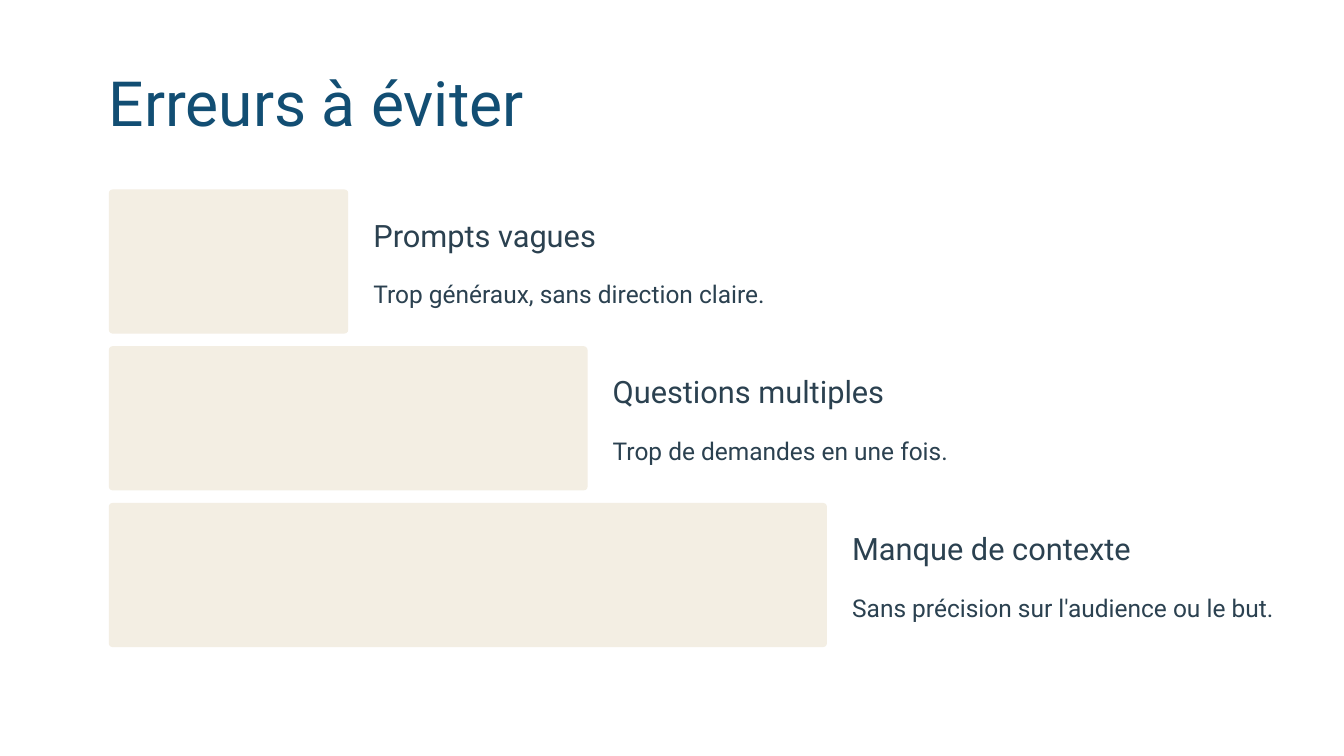
from dataclasses import dataclass

from pptx import Presentation
from pptx.dml.color import RGBColor
from pptx.enum.shapes import MSO_SHAPE
from pptx.enum.text import MSO_ANCHOR, MSO_AUTO_SIZE
from pptx.slide import Slide
from pptx.util import Emu, Pt

EMU_PER_PX = 4572


@dataclass(frozen=True)
class TextStyle:
    size: float
    line_height: float
    color: RGBColor


@dataclass(frozen=True)
class Theme:
    font: str
    bar: RGBColor
    title: TextStyle
    heading: TextStyle
    detail: TextStyle


@dataclass(frozen=True)
class Box:
    left: int
    top: int
    width: int
    height: int

    def emu(self) -> tuple[Emu, Emu, Emu, Emu]:
        return px(self.left), px(self.top), px(self.width), px(self.height)


@dataclass(frozen=True)
class Mistake:
    heading: str
    detail: str
    heading_width: int
    detail_width: int


INK = RGBColor(0x2B, 0x41, 0x50)
THEME = Theme(
    font="Roboto",
    bar=RGBColor(0xF3, 0xEE, 0xE3),
    title=TextStyle(44.5, 55.5, RGBColor(0x12, 0x4E, 0x73)),
    heading=TextStyle(22, 27.5, INK),
    detail=TextStyle(17.5, 28.5, INK),
)

MISTAKES = [
    Mistake("Prompts vagues", "Trop généraux, sans direction claire.", 620, 744),
    Mistake("Questions multiples", "Trop de demandes en une fois.", 620, 632),
    Mistake("Manque de contexte", "Sans précision sur l'audience ou le but.", 624, 804),
]

MARGIN_LEFT = 216
FIRST_BAR_TOP = 376
BAR_PITCH = 311
BAR_HEIGHT = 286
BAR_STEP = 475
BAR_CORNER = 0.026
TEXT_GAP = 50
HEADING_OFFSET = 50
DETAIL_OFFSET = 157


def px(length: int) -> Emu:
    return Emu(length * EMU_PER_PX)


def add_line(slide: Slide, text: str, box: Box, style: TextStyle) -> None:
    frame = slide.shapes.add_textbox(*box.emu()).text_frame
    frame.margin_left = frame.margin_right = 0
    frame.margin_top = frame.margin_bottom = 0
    frame.word_wrap = False
    frame.auto_size = MSO_AUTO_SIZE.NONE
    frame.vertical_anchor = MSO_ANCHOR.TOP
    frame.text = text
    paragraph = frame.paragraphs[0]
    paragraph.line_spacing = Pt(style.line_height)
    font = paragraph.runs[0].font
    font.name = THEME.font
    font.size = Pt(style.size)
    font.color.rgb = style.color


def add_bar(slide: Slide, box: Box) -> None:
    bar = slide.shapes.add_shape(MSO_SHAPE.ROUNDED_RECTANGLE, *box.emu())
    bar.adjustments[0] = BAR_CORNER
    bar.shadow.inherit = False
    bar.fill.solid()
    bar.fill.fore_color.rgb = THEME.bar
    bar.line.fill.background()


def add_mistake(slide: Slide, index: int, mistake: Mistake) -> None:
    top = FIRST_BAR_TOP + index * BAR_PITCH
    width = (index + 1) * BAR_STEP
    text_left = MARGIN_LEFT + width + TEXT_GAP
    add_bar(slide, Box(MARGIN_LEFT, top, width, BAR_HEIGHT))
    heading_box = Box(text_left, top + HEADING_OFFSET, mistake.heading_width, 78)
    add_line(slide, mistake.heading, heading_box, THEME.heading)
    detail_box = Box(text_left, top + DETAIL_OFFSET, mistake.detail_width, 80)
    add_line(slide, mistake.detail, detail_box, THEME.detail)


def main() -> None:
    presentation = Presentation()
    presentation.slide_width = px(2667)
    presentation.slide_height = px(1500)
    slide = presentation.slides.add_slide(presentation.slide_layouts[6])
    add_line(slide, "Erreurs à éviter", Box(MARGIN_LEFT, 122, 1240, 156), THEME.title)
    for index, mistake in enumerate(MISTAKES):
        add_mistake(slide, index, mistake)
    presentation.save("out.pptx")


if __name__ == "__main__":
    main()
